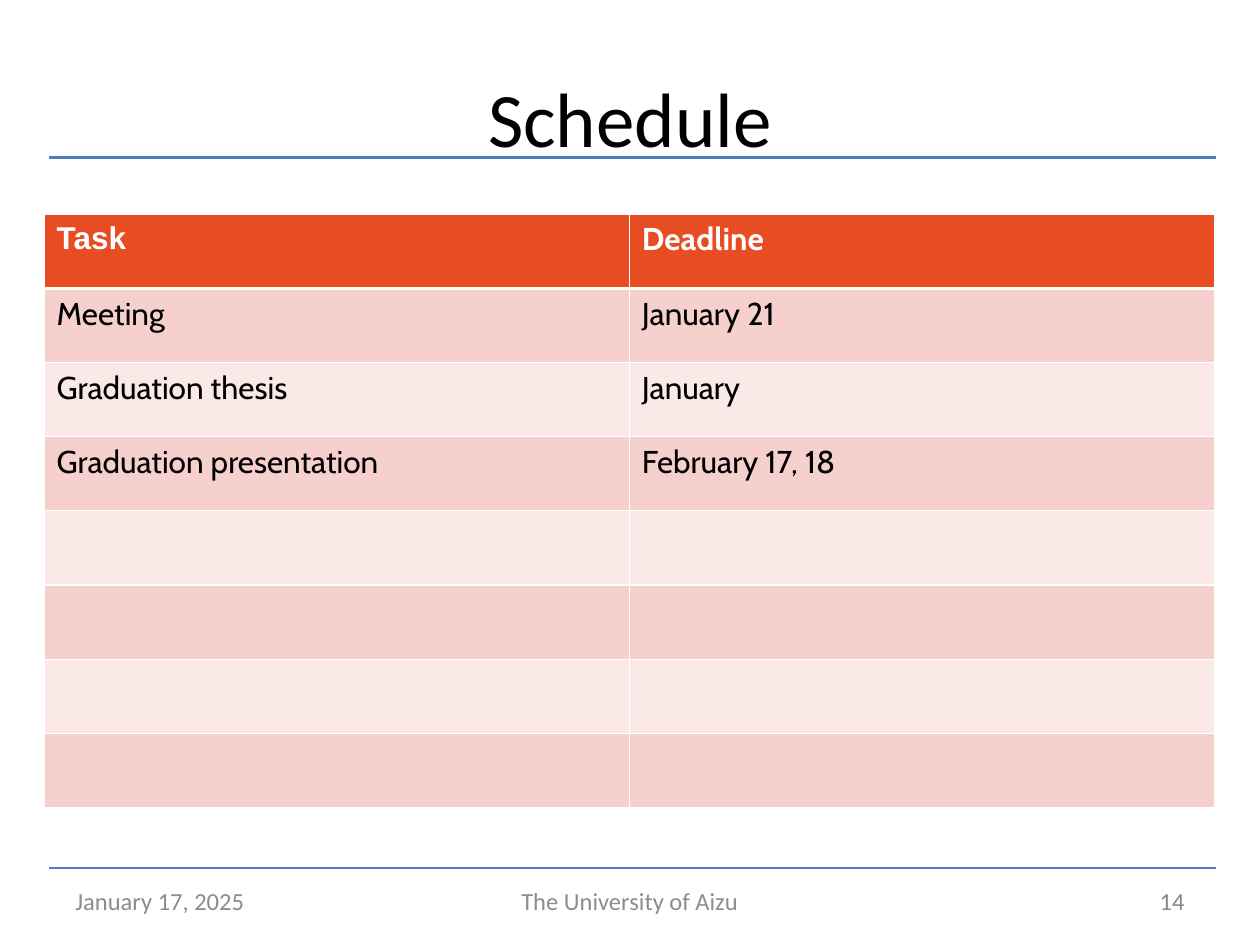
from dataclasses import dataclass

from lxml import etree
from pptx import Presentation
from pptx.dml.color import RGBColor
from pptx.enum.shapes import MSO_CONNECTOR
from pptx.enum.text import MSO_ANCHOR, PP_ALIGN
from pptx.oxml.ns import qn
from pptx.util import Inches, Pt

LEFT, CENTER, RIGHT = PP_ALIGN.LEFT, PP_ALIGN.CENTER, PP_ALIGN.RIGHT
MIDDLE = MSO_ANCHOR.MIDDLE
STRAIGHT = MSO_CONNECTOR.STRAIGHT
COLS, ROWS = 20, 15

SCHEDULE = [
    ("Task", "Deadline"),
    ("Meeting", "January 21"),
    ("Graduation thesis", "January"),
    ("Graduation presentation", "February 17, 18"),
] + [("", "")] * 4


@dataclass(frozen=True)
class Theme:
    text: str = "000000"
    muted: str = "8C8C8C"
    number: str = "898989"
    rule: str = "4B7EBC"
    white: str = "FFFFFF"
    header: str = "E84C22"
    bands: tuple = ("F6D0CC", "FBE9E8")
    font: str = "Calibri"
    table_font: str = "Cabin"
    header_font: str = "Arial"
    title_size: int = 44
    table_size: int = 18
    footer_size: int = 14
    border: float = 0.75
    thick: float = 2.25


class Deck:
    """Draws on one slide; lengths are columns and rows of the grid."""

    def __init__(self, theme):
        self.theme = theme
        self.prs = Presentation()
        self.prs.slide_width, self.prs.slide_height = Inches(10), Inches(7.5)
        self.s = self.prs.slides.add_slide(self.prs.slide_layouts[5])

    def x(self, cols):
        return int(self.prs.slide_width * cols / COLS)

    def y(self, rows):
        return int(self.prs.slide_height * rows / ROWS)

    def box(self, left, top, width, height):
        return self.x(left), self.y(top), self.x(width), self.y(height)

    def set_text(self, tf, text, font, size, color, align=LEFT, bold=False):
        p = tf.paragraphs[0]
        p.text, p.alignment = text, align
        f = p.font
        f.name, f.size, f.bold = font, Pt(size), bold
        f.color.rgb = RGBColor.from_string(color)

    def title(self, text, *area):
        sp = self.s.shapes.title
        sp.left, sp.top, sp.width, sp.height = self.box(*area)
        sp.text_frame.vertical_anchor = MIDDLE
        t = self.theme
        self.set_text(sp.text_frame, text, t.font, t.title_size, t.text, CENTER)

    def rule(self, left, right, row, width):
        line = self.s.shapes.add_connector(
            STRAIGHT, self.x(left), self.y(row), self.x(right), self.y(row))
        line.line.color.rgb = RGBColor.from_string(self.theme.rule)
        line.line.width = Pt(width)
        etree.SubElement(line._element.spPr, qn("a:effectLst"))

    def footer(self, text, left, width, align, color):
        tf = self.s.shapes.add_textbox(*self.box(left, 13.9, width, 0.8)).text_frame
        tf.word_wrap, tf.vertical_anchor = True, MIDDLE
        self.set_text(tf, text, self.theme.font, self.theme.footer_size, color, align)

    def borders(self, cell, **widths):
        """Set white cell borders; they must precede the fill in the XML."""
        pr = cell._tc.get_or_add_tcPr()
        for i, (side, width) in enumerate(widths.items()):
            ln = etree.Element(qn(f"a:ln{side}"), w=str(Pt(width)))
            fill = etree.SubElement(ln, qn("a:solidFill"))
            etree.SubElement(fill, qn("a:srgbClr"), val=self.theme.white)
            pr.insert(i, ln)

    def table(self, data, *area):
        t = self.theme
        table = self.s.shapes.add_table(len(data), len(data[0]), *self.box(*area)).table
        for i, row in enumerate(data):
            head = i == 0
            fill = t.header if head else t.bands[(i - 1) % 2]
            for j, text in enumerate(row):
                cell = table.cell(i, j)
                cell.fill.solid()
                cell.fill.fore_color.rgb = RGBColor.from_string(fill)
                self.borders(cell, L=t.border, R=t.border,
                             T=t.thick if i == 1 else t.border,
                             B=t.thick if head else t.border)
                self.set_text(cell.text_frame, text,
                              t.header_font if head and j == 0 else t.table_font,
                              t.table_size, t.white if head else t.text, bold=head)


def main():
    theme = Theme()
    deck = Deck(theme)
    deck.rule(0.78, 19.3, 13.78, 1.5)
    deck.rule(0.78, 19.3, 2.5, theme.thick)
    deck.title("Schedule", 1, 0.6, 18, 2.5)
    deck.footer("January 17, 2025", 1, 4.67, LEFT, theme.muted)
    deck.footer("The University of Aizu", 6.83, 6.33, CENTER, theme.muted)
    deck.footer("14", 14.33, 4.67, RIGHT, theme.number)
    deck.table(SCHEDULE, 0.7, 3.4, 18.58, 9.42)
    deck.prs.save("out.pptx")


if __name__ == "__main__":
    main()
